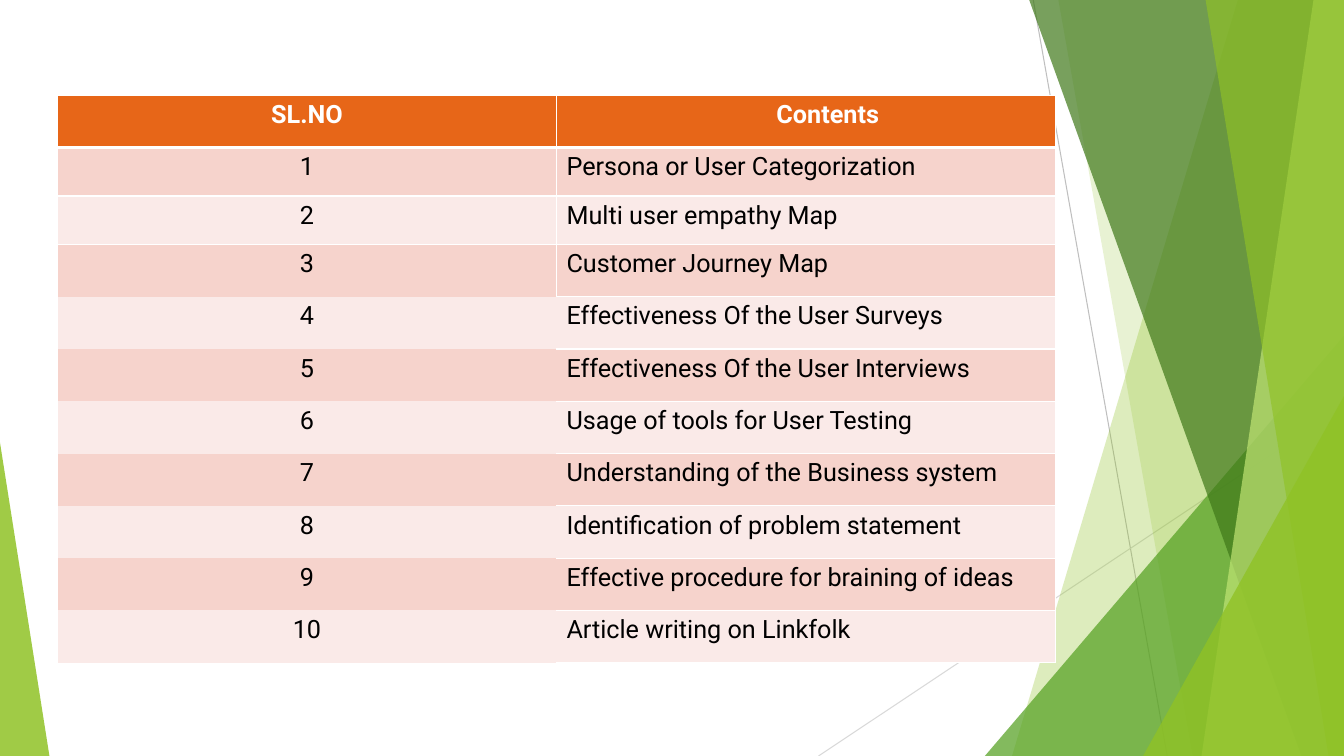
from dataclasses import dataclass

from lxml.etree import SubElement
from pptx import Presentation
from pptx.dml.color import RGBColor
from pptx.enum.shapes import MSO_CONNECTOR, MSO_SHAPE
from pptx.enum.text import PP_ALIGN
from pptx.oxml.ns import qn
from pptx.util import Inches, Pt

SLIDE_WIDTH, SLIDE_HEIGHT = Inches(13.33), Inches(7.5)


@dataclass(frozen=True)
class Theme:
    font: str = "Roboto"
    text_size: int = 18
    hairline: float = 0.75
    white: str = "FFFFFF"
    black: str = "000000"
    header: str = "E76618"
    bands: tuple = ("F6D3CC", "FAEAE8")
    ray_dark: str = "BFBFBF"
    ray_light: str = "D9D9D9"
    green: str = "90C226"
    leaf: str = "54A021"
    forest: str = "3F7819"
    lime: str = "C0E474"


THEME = Theme()

TOPICS = (
    "Persona or User Categorization",
    "Multi user empathy Map",
    "Customer Journey Map",
    "Effectiveness Of the User Surveys",
    "Effectiveness Of the User Interviews",
    "Usage of tools for User Testing",
    "Understanding of the Business system",
    "Identification of problem statement",
    "Effective procedure for braining of ideas",
    "Article writing on Linkfolk",
)


# Lengths are percentages of the slide's width and height
def across(percent):
    return round(SLIDE_WIDTH * percent / 100)


def down(percent):
    return round(SLIDE_HEIGHT * percent / 100)


# Background facets
def add_ray(slide, start, end, color):
    ray = slide.shapes.add_connector(
        MSO_CONNECTOR.STRAIGHT,
        across(start[0]), down(start[1]), across(end[0]), down(end[1]))
    ray.line.color.rgb = RGBColor.from_string(color)
    ray.line.width = Pt(THEME.hairline)
    SubElement(ray._element.spPr, qn("a:effectLst"))


def paint_facet(facet, color, opacity):
    facet.shadow.inherit = False
    facet.line.fill.background()
    facet.fill.solid()
    facet.fill.fore_color.rgb = RGBColor.from_string(color)
    tint = facet._element.spPr.find(qn("a:solidFill"))[0]
    SubElement(tint, qn("a:alpha"), val=str(opacity * 1000))


def add_wedge(slide, top_x, bottom_x, color, opacity):
    """Full-height facet that reaches the right edge of the slide."""
    outline = slide.shapes.build_freeform(across(top_x), 0)
    outline.add_line_segments(
        [(across(100), 0), (across(100), down(100)), (across(bottom_x), down(100))],
        close=True)
    paint_facet(outline.convert_to_shape(), color, opacity)


def add_corner(slide, left, right, top, apex, color, opacity):
    """Triangle standing on the bottom edge; apex 0 is left, 1 is right."""
    corner = slide.shapes.add_shape(
        MSO_SHAPE.ISOSCELES_TRIANGLE,
        across(left), down(top), across(right - left), down(100 - top))
    corner.adjustments[0] = apex
    paint_facet(corner, color, opacity)


def add_background(slide):
    add_ray(slide, (76.88, 0), (86.85, 100), THEME.ray_dark)
    add_ray(slide, (100, 53.73), (60.9, 100), THEME.ray_light)
    add_wedge(slide, 92.1, 75.3, THEME.green, 30)
    add_wedge(slide, 78.75, 88.73, THEME.green, 20)
    add_corner(slide, 73.28, 100, 44.4, 1, THEME.leaf, 72)
    add_wedge(slide, 76.58, 96.83, THEME.forest, 70)
    add_wedge(slide, 97.73, 89.4, THEME.lime, 70)
    add_wedge(slide, 89.7, 98.85, THEME.green, 65)
    add_corner(slide, 85.05, 100, 52.4, 1, THEME.green, 80)
    add_corner(slide, 0, 3.68, 58.53, 0, THEME.green, 85)


# Contents table
def border_sides(row, column):
    """Border widths in points by side; a side left out has no line."""
    if row == 0:
        return {"L": 1, "R": 1, "T": 1, "B": 3}
    if row < 3 or (row == 3 and column == 1):
        return dict.fromkeys("LRTB", 1)
    if row == 3:
        return dict.fromkeys("LRT", 1)
    return dict.fromkeys("RTB", 1) if column == 1 else {}


def set_borders(cell, widths):
    properties = cell._tc.get_or_add_tcPr()
    for side in "LRTB":
        border = SubElement(properties, qn(f"a:ln{side}"))
        if side in widths:
            border.set("w", str(Pt(widths[side])))
            paint = SubElement(border, qn("a:solidFill"))
            SubElement(paint, qn("a:srgbClr"), val=THEME.white)
        else:
            SubElement(border, qn("a:noFill"))


def fill_cell(cell, text, fill, color, align, bold=False):
    cell.fill.solid()
    cell.fill.fore_color.rgb = RGBColor.from_string(fill)
    cell.text = text
    paragraph = cell.text_frame.paragraphs[0]
    paragraph.alignment = align
    paragraph.font.name = THEME.font
    paragraph.font.size = Pt(THEME.text_size)
    paragraph.font.bold = bold
    paragraph.font.color.rgb = RGBColor.from_string(color)


def add_contents(slide):
    entries = [("SL.NO", "Contents")]
    entries += [(str(number), topic) for number, topic in enumerate(TOPICS, 1)]
    heights = [6.4 if row in (1, 2) else 6.92 for row in range(len(entries))]
    contents = slide.shapes.add_table(
        len(entries), 2, across(4.28), down(12.6),
        across(74.25), down(sum(heights))).table

    for row, entry in enumerate(entries):
        contents.rows[row].height = down(heights[row])
        is_header = row == 0
        fill = THEME.header if is_header else THEME.bands[(row - 1) % 2]
        color = THEME.white if is_header else THEME.black
        for column, text in enumerate(entry):
            cell = contents.cell(row, column)
            centred = is_header or column == 0
            set_borders(cell, border_sides(row, column))
            fill_cell(cell, text, fill, color,
                      PP_ALIGN.CENTER if centred else PP_ALIGN.LEFT, is_header)

    # The second heading sits a little right of its column's centre
    contents.cell(0, 1).margin_left = across(4)


def main():
    deck = Presentation()
    deck.slide_width, deck.slide_height = SLIDE_WIDTH, SLIDE_HEIGHT
    slide = deck.slides.add_slide(deck.slide_layouts.get_by_name("Blank"))
    add_background(slide)
    add_contents(slide)
    deck.save("out.pptx")


if __name__ == "__main__":
    main()
